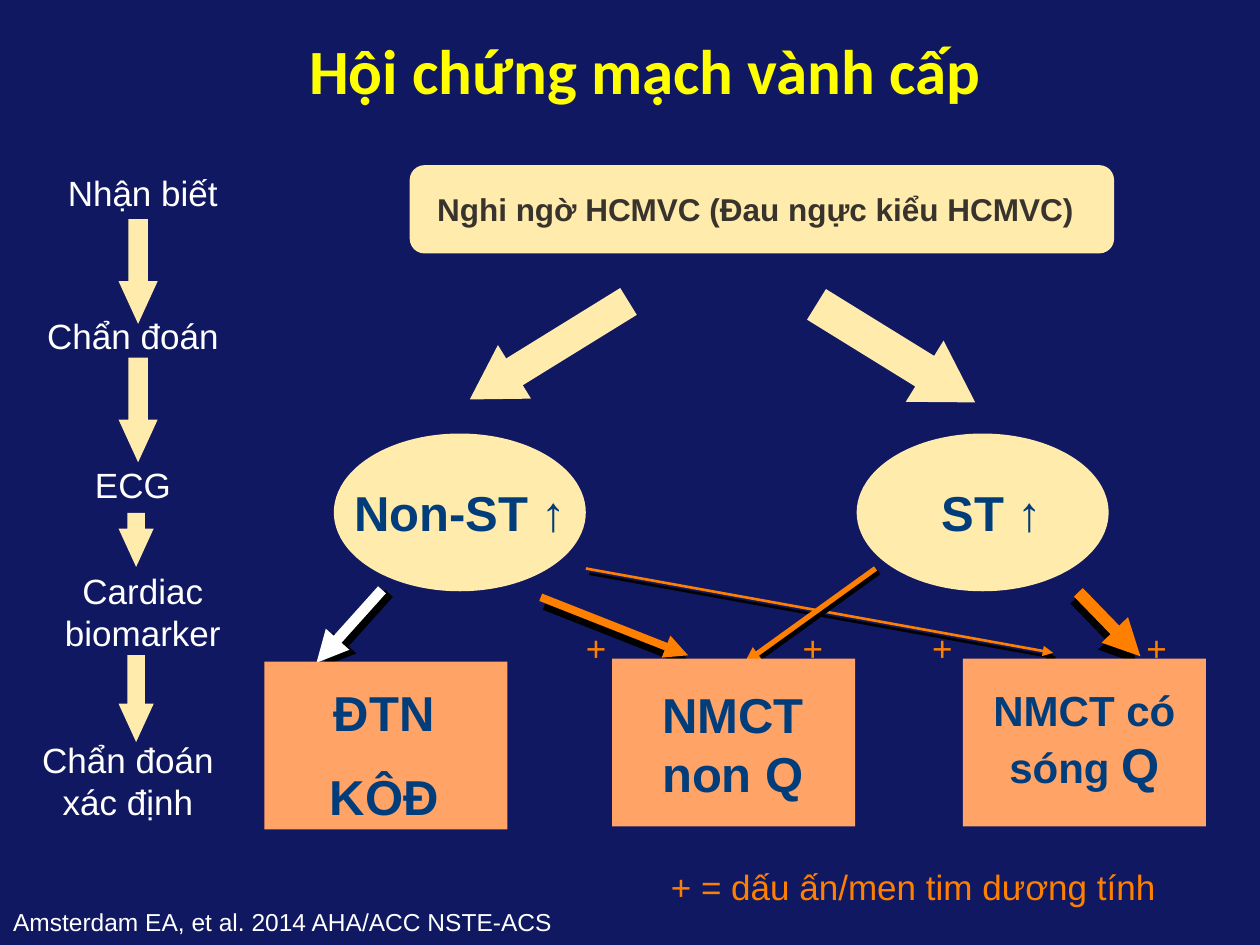
"""Builds a slide with the diagnostic pathway of acute coronary syndrome."""
from dataclasses import dataclass

import lxml.etree
import pptx
import pptx.dml.color
import pptx.enum.shapes
import pptx.enum.text
import pptx.oxml.ns
import pptx.util
from pptx.util import Cm

RGBColor = pptx.dml.color.RGBColor
Shapes = pptx.enum.shapes.MSO_SHAPE
NAVY = RGBColor(0x10, 0x18, 0x61)
CREAM = RGBColor(0xFF, 0xEB, 0xAB)
PEACH = RGBColor(0xFF, 0xA3, 0x66)
ORANGE = RGBColor(0xFF, 0x80, 0x00)
YELLOW = RGBColor(0xFF, 0xFF, 0x00)
WHITE = RGBColor(0xFF, 0xFF, 0xFF)
BLUE = RGBColor(0x00, 0x3D, 0x7A)
BROWN = RGBColor(0x38, 0x34, 0x2D)


@dataclass
class Block:
    kind: Shapes
    left: float
    top: float
    width: float
    height: float
    fill: RGBColor = CREAM
    adjustments: tuple[float, ...] = ()
    rotation: float = 0


@dataclass
class Label:
    text: str
    left: float
    top: float
    width: float
    height: float
    size: float = 20
    color: RGBColor = WHITE
    bold: bool = False
    space_before: float = 0


@dataclass
class Link:
    start: tuple[float, float]
    end: tuple[float, float]
    weight: float
    shadow_distance: float
    shadow_angle: int
    color: RGBColor = ORANGE


def down_arrow(top: float, width: float, height: float) -> Block:
    """Describe one arrow of the step column."""
    return Block(Shapes.DOWN_ARROW, 2.39, top, width, height, adjustments=(0.5, 1.091))


LINKS = [
    Link((7.7, 11.89), (6.38, 13.36), 6, 4.5, 27, WHITE),
    Link((10.9, 12.04), (13.87, 13.21), 4.5, 5.4, 68),
    Link((11.81, 11.46), (21.23, 13.16), 1.5, 3.6, 56),
    Link((21.74, 11.94), (22.99, 13.23), 7, 4.5, 117),
    Link((17.65, 11.46), (15.01, 13.36), 3, 2.8, 45),
]
BLOCKS = [
    Block(Shapes.ROUNDED_RECTANGLE, 8.26, 3.33, 14.2, 1.78, adjustments=(0.167,)),
    Block(Shapes.RIGHT_ARROW, 16.18, 6.4, 3.76, 1.45, adjustments=(0.5, 0.825), rotation=31.7),
    Block(Shapes.RIGHT_ARROW, 9.19, 6.43, 3.76, 1.27, adjustments=(0.5, 0.833), rotation=148.3),
    Block(Shapes.OVAL, 6.73, 8.74, 5.08, 3.18),
    Block(Shapes.OVAL, 17.27, 8.74, 5.08, 3.18),
    Block(Shapes.RECTANGLE, 5.33, 13.34, 4.9, 3.38, PEACH),
    Block(Shapes.RECTANGLE, 12.34, 13.28, 4.9, 3.38, PEACH),
    Block(Shapes.RECTANGLE, 19.41, 13.28, 4.9, 3.38, PEACH),
    down_arrow(4.42, 0.79, 2.11),
    down_arrow(7.21, 0.79, 2.11),
    down_arrow(10.34, 0.71, 1.09),
    down_arrow(13.21, 0.71, 1.75),
]
PLUS_SIGNS = [Label("+", left, 12.51, 0.91, 1.09, color=ORANGE) for left in (11.56, 15.93, 18.54, 22.86)]
LABELS = [
    Label("Nghi ngờ HCMVC (Đau ngực kiểu HCMVC)", 8.26, 3.71, 13.94, 1.02, 18, BROWN, True),
    Label("Nhận biết", 0.1, 3.33, 5.56, 1.09),
    Label("Chẩn đoán", -0.1, 6.22, 5.56, 1.09),
    Label("ECG", -0.1, 9.22, 5.56, 1.09),
    Label("Cardiac biomarker", 0.1, 11.35, 5.56, 1.96),
    Label("Chẩn đoán xác định", 0.41, 14.76, 4.34, 1.96),
    Label("Non-ST ↑", 5.99, 9.6, 6.58, 1.45, 28, BLUE, True),
    Label("ST ↑", 16.71, 9.6, 6.58, 1.45, 28, BLUE, True),
    Label("ĐTN\nKÔĐ", 5.56, 13.64, 4.37, 3.23, 28, BLUE, True, 14),
    Label("NMCT non Q", 12.5, 13.67, 4.55, 2.62, 28, BLUE, True),
    Label("+ = dấu ấn/men tim dương tính", 12.14, 17.32, 12.55, 1.09, color=ORANGE),
    Label("Amsterdam EA, et al. 2014 AHA/ACC NSTE-ACS", -1.6, 18.16, 14.6, 0.86, 14),
]
Q_WAVE = Label("NMCT có sóng ", 19.61, 13.67, 4.5, 2.49, 24, BLUE, True)


def draw_block(slide: pptx.slide.Slide, block: Block) -> None:
    """Draw a filled preset shape without outline."""
    shape = slide.shapes.add_shape(
        block.kind, Cm(block.left), Cm(block.top), Cm(block.width), Cm(block.height))
    for index, value in enumerate(block.adjustments):
        shape.adjustments[index] = value
    shape.rotation = block.rotation
    shape.shadow.inherit = False
    shape.fill.solid()
    shape.fill.fore_color.rgb = block.fill
    shape.line.fill.background()


def format_paragraph(para, size: float, color: RGBColor, bold: bool, name: str = "Arial") -> None:
    """Centre a paragraph and set its font."""
    para.alignment = pptx.enum.text.PP_ALIGN.CENTER
    para.font.name = name
    para.font.size = pptx.util.Pt(size)
    para.font.bold = bold
    para.font.color.rgb = color


def draw_label(slide: pptx.slide.Slide, label: Label):
    """Draw a wrapped text box and return its text frame."""
    box = slide.shapes.add_textbox(
        Cm(label.left), Cm(label.top), Cm(label.width), Cm(label.height))
    frame = box.text_frame
    frame.word_wrap = True
    frame.text = label.text
    for para in frame.paragraphs:
        format_paragraph(para, label.size, label.color, label.bold)
    for para in frame.paragraphs[1:]:
        para.space_before = pptx.util.Pt(label.space_before)
    return frame


def draw_link(slide: pptx.slide.Slide, link: Link) -> None:
    """Draw an arrow with a hard black shadow."""
    connector = slide.shapes.add_connector(
        pptx.enum.shapes.MSO_CONNECTOR.STRAIGHT, *map(Cm, link.start + link.end))
    connector.line.color.rgb = link.color
    connector.line.width = pptx.util.Pt(link.weight)
    qn = pptx.oxml.ns.qn
    properties = connector._element.spPr
    lxml.etree.SubElement(properties.find(qn("a:ln")), qn("a:tailEnd"), type="triangle")
    effects = lxml.etree.SubElement(properties, qn("a:effectLst"))
    shadow = lxml.etree.SubElement(
        effects, qn("a:outerShdw"), dist=str(int(pptx.util.Pt(link.shadow_distance))),
        dir=str(link.shadow_angle * 60000), algn="ctr", rotWithShape="0")
    lxml.etree.SubElement(shadow, qn("a:srgbClr"), val="000000")


def draw_title(slide: pptx.slide.Slide) -> None:
    """Place and format the title placeholder."""
    title = slide.shapes.title
    title.left, title.top, title.width, title.height = map(Cm, (2.26, 0.51, 21.49, 1.8))
    frame = title.text_frame
    frame.text = "Hội chứng mạch vành cấp"
    frame.auto_size = pptx.enum.text.MSO_AUTO_SIZE.NONE
    frame.vertical_anchor = pptx.enum.text.MSO_ANCHOR.TOP
    format_paragraph(frame.paragraphs[0], 36, YELLOW, True, "Calibri")


def main() -> None:
    """Build and save the deck."""
    deck = pptx.Presentation()
    deck.slide_width, deck.slide_height = Cm(25.4), Cm(19.05)
    slide = deck.slides.add_slide(deck.slide_layouts.get_by_name("Title Only"))
    slide.background.fill.solid()
    slide.background.fill.fore_color.rgb = NAVY
    draw_title(slide)
    for link in LINKS:
        draw_link(slide, link)
    for label in PLUS_SIGNS:
        draw_label(slide, label)
    for block in BLOCKS:
        draw_block(slide, block)
    for label in LABELS:
        draw_label(slide, label)
    span = draw_label(slide, Q_WAVE).paragraphs[0].add_run()
    span.text = "Q"
    span.font.size = pptx.util.Pt(28)
    deck.save("out.pptx")


if __name__ == "__main__":
    main()
